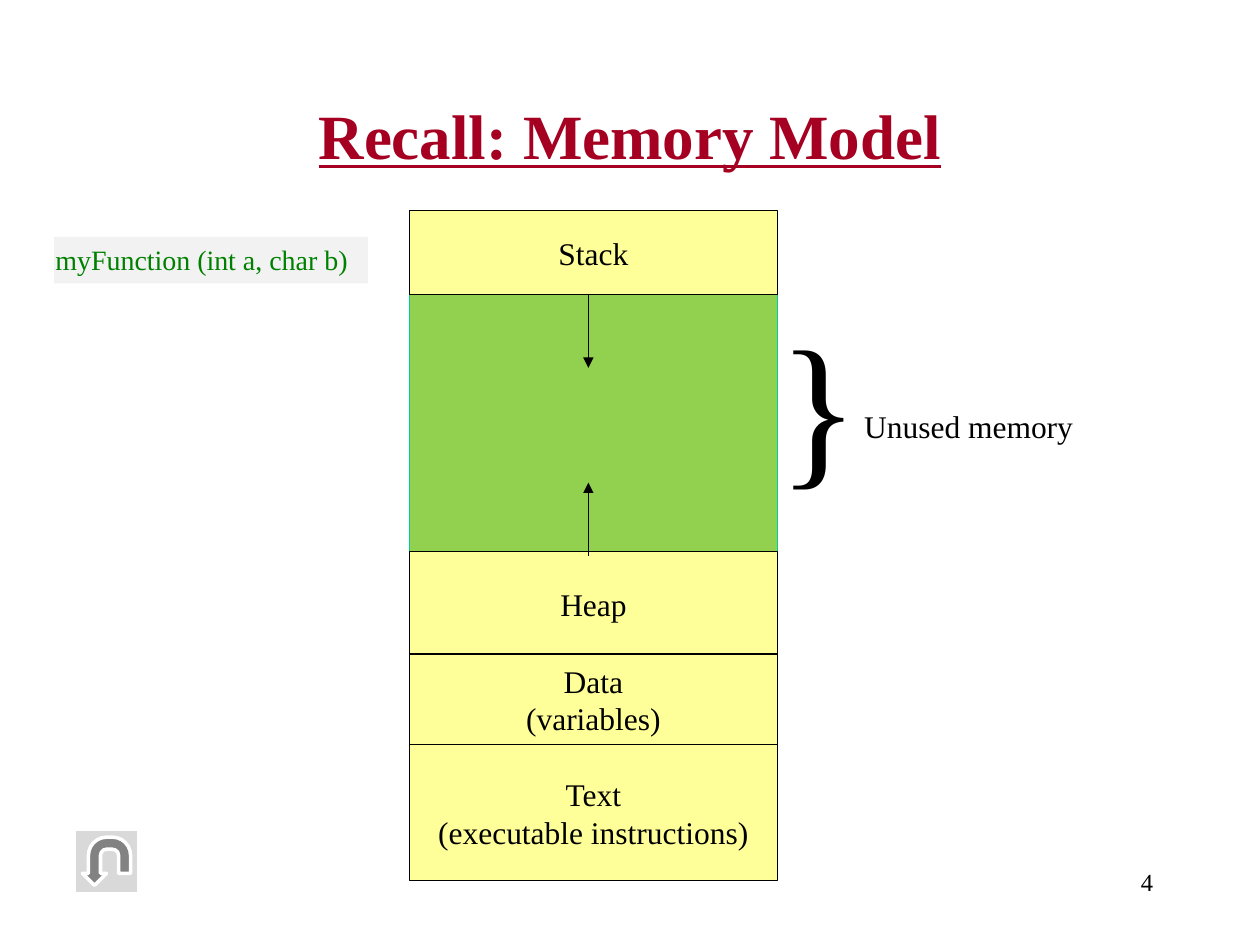
from dataclasses import dataclass

from lxml import etree
from pptx import Presentation
from pptx.dml.color import RGBColor
from pptx.enum.shapes import MSO_CONNECTOR, MSO_SHAPE
from pptx.enum.text import MSO_ANCHOR, PP_ALIGN
from pptx.oxml.ns import qn
from pptx.util import Inches, Pt

RECT, RETURN_BUTTON = MSO_SHAPE.RECTANGLE, MSO_SHAPE.ACTION_BUTTON_RETURN
STRAIGHT = MSO_CONNECTOR.STRAIGHT
LEFT, CENTER, RIGHT = PP_ALIGN.LEFT, PP_ALIGN.CENTER, PP_ALIGN.RIGHT
TOP, MIDDLE = MSO_ANCHOR.TOP, MSO_ANCHOR.MIDDLE


@dataclass(frozen=True)
class Theme:
    font: str = "Times New Roman"
    ink: str = "000000"
    title: str = "A50021"
    code: str = "008000"
    code_fill: str = "F2F2F2"
    used: str = "FFFF99"
    unused: str = "92D050"
    unused_line: str = "00CC99"
    button: str = "D9D9D9"
    button_line: str = "FFFFFF"
    title_size: int = 36
    body_size: int = 18
    code_size: int = 16
    number_size: int = 14
    brace_size: int = 96
    line_width: float = 0.75


THEME = Theme()


def color(value):
    return RGBColor.from_string(value)


def write(shape, lines, size=THEME.body_size, ink=THEME.ink, align=LEFT,
          anchor=TOP, wrap=True, before=0):
    """Fill the shape with one paragraph per line and return its frame."""
    frame = shape.text_frame
    frame.word_wrap = wrap
    frame.vertical_anchor = anchor
    frame.text = "\n".join(lines)
    for para in frame.paragraphs:
        para.alignment = align
        para.space_before = Pt(before)
        para.font.name = THEME.font
        para.font.size = Pt(size)
        para.font.color.rgb = color(ink)
    return frame


def add_text(page, box, text, **style):
    return write(page.shapes.add_textbox(*map(Inches, box)), [text], **style)


def add_block(page, box, fill, line=None, width=THEME.line_width, kind=RECT):
    block = page.shapes.add_shape(kind, *map(Inches, box))
    block.shadow.inherit = False
    block.fill.solid()
    block.fill.fore_color.rgb = color(fill)
    if line:
        block.line.color.rgb = color(line)
        block.line.width = Pt(width)
    else:
        block.line.fill.background()
    return block


def add_arrow(page, x, start, end):
    arrow = page.shapes.add_connector(
        STRAIGHT, Inches(x), Inches(start), Inches(x), Inches(end))
    arrow.line.color.rgb = color(THEME.ink)
    arrow.line.width = Pt(THEME.line_width)
    etree.SubElement(arrow.line._get_or_add_ln(), qn("a:tailEnd"), type="triangle")
    etree.SubElement(arrow._element.spPr, qn("a:effectLst"))


def add_title(page, box):
    frame = add_text(page, box, "Recall: Memory Model", size=THEME.title_size,
                     ink=THEME.title, align=CENTER, anchor=MIDDLE)
    font = frame.paragraphs[0].font
    font.bold = font.underline = True


def add_memory(page, box):
    """Stack the memory segments over the unused area, with growth arrows."""
    left, top, width, height = box
    add_block(page, (left, top, width, height), THEME.unused, THEME.unused_line)
    segments = [
        (0, 0.67, ["Stack"]),
        (2.71, 0.83, ["Heap"]),
        (3.52, 0.72, ["Data", "(variables)"]),
        (4.24, 1.08, ["Text", "(executable instructions)"]),
    ]
    for offset, depth, lines in segments:
        segment = add_block(page, (left, top + offset, width, depth),
                            THEME.used, THEME.ink)
        write(segment, lines, align=CENTER, anchor=MIDDLE, wrap=False)
    for start, end in ((0.66, 1.25), (2.74, 2.16)):
        add_arrow(page, left + 1.42, top + start, top + end)


def add_unused_label(page, box):
    left, top, width, height = box
    add_text(page, (left, top, 0.42, height), "}",
             size=THEME.brace_size, before=7)
    add_text(page, (left + 0.68, top + 0.85, width - 0.68, 0.4),
             "Unused memory", before=2)


def add_signature(page, box):
    frame = write(add_block(page, box, THEME.code_fill),
                  ["myFunction (int a, char b)"],
                  size=THEME.code_size, ink=THEME.code)
    frame.margin_left = frame.margin_right = Inches(0.01)


def add_return_button(page, box):
    button = add_block(page, box, THEME.button, THEME.button_line, 2, RETURN_BUTTON)
    button.rotation = 180


def main():
    deck = Presentation()
    deck.slide_width, deck.slide_height = Inches(10), Inches(7.5)
    page = deck.slides.add_slide(deck.slide_layouts[6])
    add_title(page, (0.75, 0.44, 8.5, 1.25))
    add_text(page, (7.17, 6.83, 2.08, 0.5), "4",
             size=THEME.number_size, align=RIGHT)
    add_memory(page, (3.25, 1.67, 2.92, 4.92))
    add_unused_label(page, (6.08, 2.33, 3.57, 1.7))
    add_signature(page, (0.43, 1.88, 2.49, 0.37))
    add_return_button(page, (0.59, 6.58, 0.51, 0.51))
    deck.save("out.pptx")


if __name__ == "__main__":
    main()
